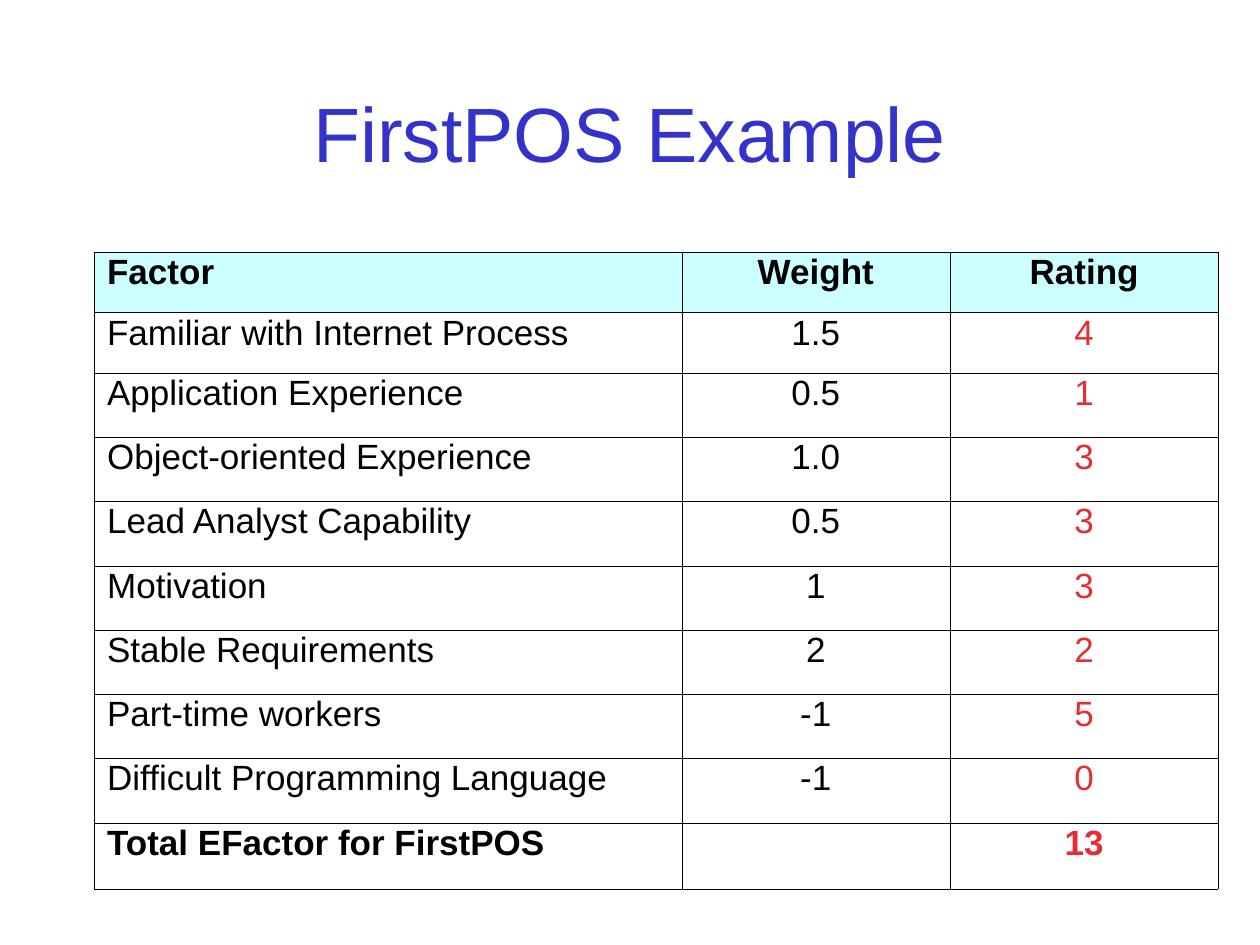
from dataclasses import dataclass

from lxml import etree
from pptx import Presentation, util as u
from pptx.dml.color import RGBColor
from pptx.enum import text
from pptx.oxml.ns import qn

TITLE = "FirstPOS Example"
HEADER = ("Factor", "Weight", "Rating")
FACTORS = [
    ("Familiar with Internet Process", "1.5", "4"),
    ("Application Experience", "0.5", "1"),
    ("Object-oriented Experience", "1.0", "3"),
    ("Lead Analyst Capability", "0.5", "3"),
    ("Motivation", "1", "3"),
    ("Stable Requirements", "2", "2"),
    ("Part-time workers", "-1", "5"),
    ("Difficult Programming Language", "-1", "0"),
]
TOTAL = ("Total EFactor for FirstPOS", "", "13")
ROWS = [HEADER, *FACTORS, TOTAL]

COL_WIDTHS = (4.66, 2.13, 2.13)
ROW_HEIGHTS = (0.48, 0.48, *[0.51] * 7, 0.53)
RATING = len(HEADER) - 1


@dataclass(frozen=True)
class Theme:
    font: str = "Arial"
    title: str = "3333CC"
    ink: str = "000000"
    rating: str = "E62D33"
    header: str = "CCFFFF"
    title_size: int = 44
    cell_size: int = 20
    outer_line: float = 0.11
    inner_line: float = 0.06


THEME = Theme()


def write(tf, words, size, color, bold=False, align=None, spacing=None, before=None):
    p = tf.paragraphs[0]
    p.alignment, p.line_spacing = align, spacing
    if before is not None:
        p.space_before = u.Pt(before)
    r = p.add_run()
    r.text = words
    f = r.font
    f.name, f.size, f.bold = THEME.font, u.Pt(size), bold
    f.color.rgb = RGBColor.from_string(color)


def set_borders(cell, outer_sides):
    """Rule all four sides; those on the table's rim take the outer width."""
    tcPr = cell._tc.get_or_add_tcPr()
    for side in "LRTB":
        width = THEME.outer_line if side in outer_sides else THEME.inner_line
        ln = etree.SubElement(tcPr, qn(f"a:ln{side}"), w=str(int(u.Pt(width))))
        fill = etree.SubElement(ln, qn("a:solidFill"))
        etree.SubElement(fill, qn("a:srgbClr"), val=THEME.ink)


def add_title(s):
    title = s.shapes.title
    title.left, title.top, title.width, title.height = map(
        u.Inches, (0.75, 0.42, 8.5, 1.25))
    title.text_frame.vertical_anchor = text.MSO_ANCHOR.MIDDLE
    write(title.text_frame, TITLE, THEME.title_size, THEME.title,
          align=text.PP_ALIGN.CENTER)


def fill_cell(cell, words, row, col):
    last = len(ROWS) - 1
    rim = {"L": col == 0, "R": col == RATING, "T": row == 0, "B": row == last}
    set_borders(cell, [side for side, on_rim in rim.items() if on_rim])
    if row == 0:
        cell.fill.solid()
        cell.fill.fore_color.rgb = RGBColor.from_string(THEME.header)
    else:
        cell.fill.background()
    if words:
        write(cell.text_frame, words, THEME.cell_size,
              THEME.rating if col == RATING and row else THEME.ink,
              bold=row in (0, last),
              align=text.PP_ALIGN.CENTER if col else text.PP_ALIGN.LEFT,
              spacing=0.84, before=2.5)


def add_factor_table(s):
    frame = s.shapes.add_table(
        len(ROWS), len(HEADER), u.Inches(0.75), u.Inches(2),
        u.Inches(sum(COL_WIDTHS)), u.Inches(sum(ROW_HEIGHTS)))
    table = frame.table
    table.first_row = table.horz_banding = False
    for column, width in zip(table.columns, COL_WIDTHS):
        column.width = u.Inches(width)
    for row, height in zip(table.rows, ROW_HEIGHTS):
        row.height = u.Inches(height)
    for i, values in enumerate(ROWS):
        for j, words in enumerate(values):
            fill_cell(table.cell(i, j), words, i, j)


def main():
    prs = Presentation()
    prs.slide_width, prs.slide_height = u.Inches(10), u.Inches(7.5)
    s = prs.slides.add_slide(prs.slide_layouts[5])
    add_title(s)
    add_factor_table(s)
    prs.save("out.pptx")


if __name__ == "__main__":
    main()
